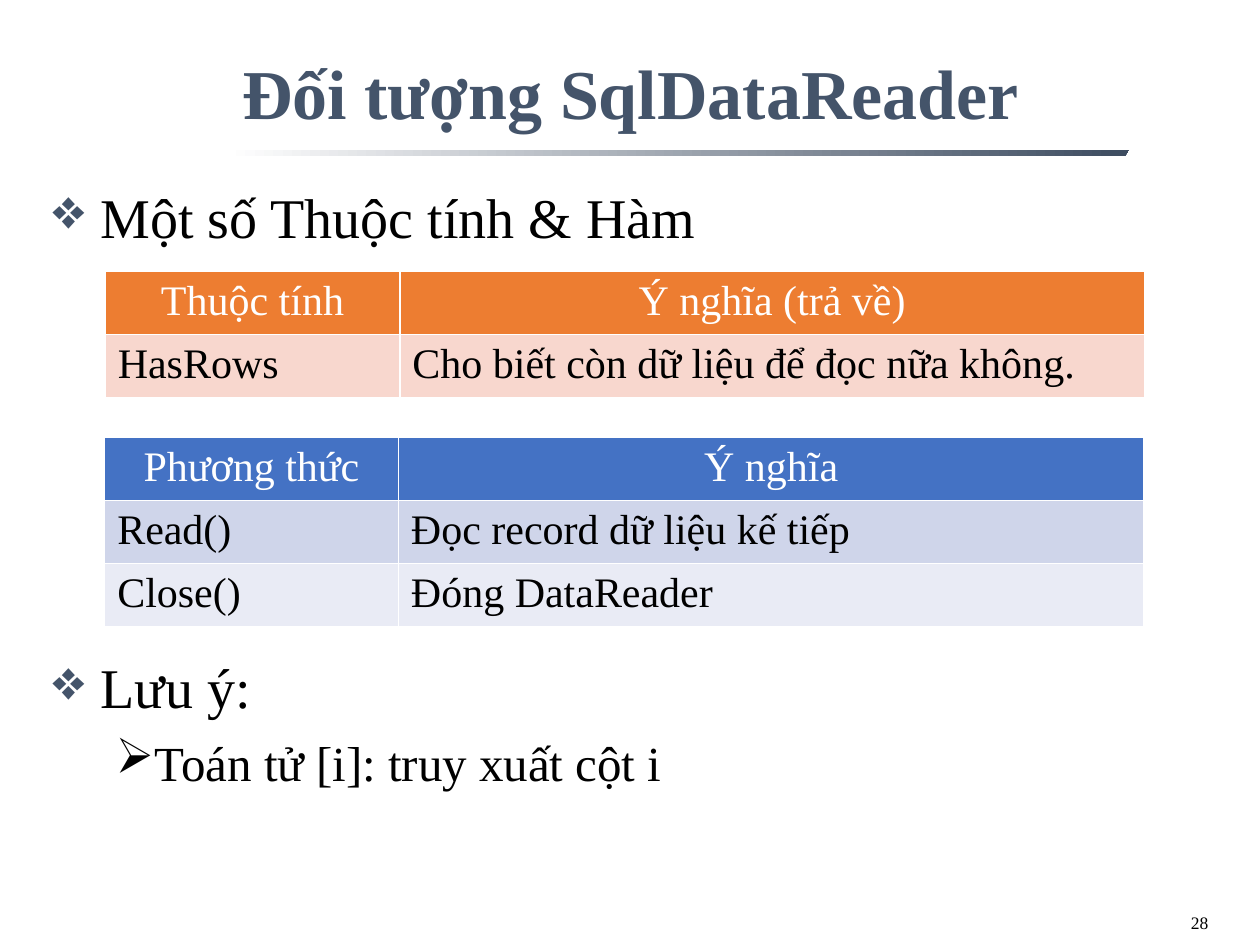
from collections import namedtuple
from dataclasses import dataclass

from lxml.etree import SubElement
from pptx import Presentation
from pptx.dml.color import RGBColor as Rgb
from pptx.enum.text import MSO_ANCHOR as Anchor, PP_ALIGN as Align
from pptx.oxml.ns import qn
from pptx.util import Cm, Pt

Box = namedtuple("Box", "left top width height")


@dataclass(frozen=True)
class Theme:
    """Font, type sizes and colours of the slide."""
    font: str = "Times New Roman"
    title_size: int = 40
    point_size: int = 32
    subpoint_size: int = 28
    table_size: int = 24
    number_size: int = 10
    slate: str = "44546A"
    rule_end: str = "3D4C60"
    black: str = "000000"
    white: str = "FFFFFF"
    orange: tuple = ("ED7D31", "F8D7CE")
    blue: tuple = ("4472C4", "CFD5EA", "E9EBF5")


THEME = Theme()


def box_cm(left, top, width, height):
    """Return a box whose sides are given in centimetres."""
    return Box(Cm(left), Cm(top), Cm(width), Cm(height))


def write(paragraph, text, *, size, color=THEME.black, bold=False, align=Align.LEFT):
    """Write one formatted run into a paragraph."""
    paragraph.alignment = align
    run = paragraph.add_run()
    run.text = text
    run.font.name = THEME.font
    run.font.size = Pt(size)
    run.font.bold = bold
    run.font.color.rgb = Rgb.from_string(color)


def add_bullet(paragraph, mark, color, indent, hanging):
    """Give a paragraph a coloured bullet and a hanging indent."""
    properties = paragraph._p.get_or_add_pPr()
    properties.set("marL", str(indent))
    properties.set("indent", str(-hanging))
    tint = SubElement(properties, qn("a:buClr"))
    SubElement(tint, qn("a:srgbClr"), val=color)
    SubElement(properties, qn("a:buChar"), char=mark)


def add_frame(slide, box):
    """Add a wrapping text box without vertical insets."""
    frame = slide.shapes.add_textbox(*box).text_frame
    frame.word_wrap = True
    frame.margin_top = frame.margin_bottom = 0
    return frame


def place_title(slide, box, text):
    """Move the title placeholder into the box and fill it."""
    title = slide.shapes.title
    title.left, title.top, title.width, title.height = box
    frame = title.text_frame
    frame.vertical_anchor = Anchor.MIDDLE
    frame.margin_top = frame.margin_bottom = 0
    write(frame.paragraphs[0], text, size=THEME.title_size, color=THEME.slate,
          bold=True, align=Align.CENTER)


def place_rule(slide, box):
    """Draw the tapered rule that fades in from the left."""
    right, bottom = box.left + box.width, box.top + box.height
    builder = slide.shapes.build_freeform(right, box.top)
    builder.add_line_segments([
        (box.left, box.top),
        (box.left + Cm(0.18), bottom),
        (right - Cm(0.08), bottom),
    ])
    rule = builder.convert_to_shape()
    rule.shadow.inherit = False
    rule.line.fill.background()
    rule.fill.gradient()
    rule.fill.gradient_angle = 0
    for stop, color in zip(rule.fill.gradient_stops, (THEME.white, THEME.rule_end)):
        stop.color.rgb = Rgb.from_string(color)


def place_points(slide, box, point, subpoints=()):
    """Place a main point and its subpoints in the box."""
    frame = add_frame(slide, box)
    heading = frame.paragraphs[0]
    add_bullet(heading, "❖", THEME.slate, Cm(0.97), Cm(0.97))
    write(heading, point, size=THEME.point_size, align=Align.JUSTIFY)
    for subpoint in subpoints:
        paragraph = frame.add_paragraph()
        paragraph.level = 1
        paragraph.space_before = Pt(7)
        add_bullet(paragraph, "➢", THEME.black, Cm(2.06), Cm(0.79))
        write(paragraph, subpoint, size=THEME.subpoint_size, align=Align.JUSTIFY)


def add_borders(cell):
    """Draw thin white borders around a table cell."""
    properties = cell._tc.get_or_add_tcPr()
    for side in ("lnL", "lnR", "lnT", "lnB"):
        line = SubElement(properties, qn(f"a:{side}"), w=str(Pt(1)))
        fill = SubElement(line, qn("a:solidFill"))
        SubElement(fill, qn("a:srgbClr"), val=THEME.white)


def place_table(slide, box, rows, fills, first_width):
    """Place a two-column table, with one fill colour for each row."""
    table = slide.shapes.add_table(len(rows), 2, *box).table
    table.columns[0].width = first_width
    table.columns[1].width = box.width - first_width
    for index, (members, fill) in enumerate(zip(rows, fills)):
        is_header = index == 0
        for column, text in enumerate(members):
            cell = table.cell(index, column)
            add_borders(cell)
            cell.fill.solid()
            cell.fill.fore_color.rgb = Rgb.from_string(fill)
            write(cell.text_frame.paragraphs[0], text, size=THEME.table_size,
                  color=THEME.white if is_header else THEME.black,
                  align=Align.CENTER if is_header else Align.LEFT)


def place_number(slide, box, number):
    """Place the slide number at the right of the box."""
    write(add_frame(slide, box).paragraphs[0], number,
          size=THEME.number_size, align=Align.RIGHT)


def main():
    """Build the slide and save it."""
    deck = Presentation()
    deck.slide_width, deck.slide_height = Cm(25.4), Cm(19.05)
    slide = deck.slides.add_slide(deck.slide_layouts[5])

    place_rule(slide, box_cm(4.57, 3.02, 18.19, 0.12))
    place_title(slide, box_cm(0.81, 0.97, 23.8, 1.75), "Đối tượng SqlDataReader")
    place_points(slide, box_cm(0.81, 3.67, 23.8, 1.3), "Một số Thuộc tính & Hàm")
    properties = [
        ("Thuộc tính", "Ý nghĩa (trả về)"),
        ("HasRows", "Cho biết còn dữ liệu để đọc nữa không."),
    ]
    place_table(slide, box_cm(2.12, 5.47, 20.95, 2.36), properties,
                THEME.orange, Cm(5.94))
    methods = [
        ("Phương thức", "Ý nghĩa"),
        ("Read()", "Đọc record dữ liệu kế tiếp"),
        ("Close()", "Đóng DataReader"),
    ]
    place_table(slide, box_cm(2.11, 8.82, 20.95, 3.54), methods,
                THEME.blue, Cm(5.92))
    place_points(slide, box_cm(0.81, 13.16, 23.8, 2.8), "Lưu ý:",
                 ["Toán tử [i]: truy xuất cột i"])
    place_number(slide, box_cm(18.69, 18.38, 5.92, 0.45), "28")

    deck.save("out.pptx")


if __name__ == "__main__":
    main()
